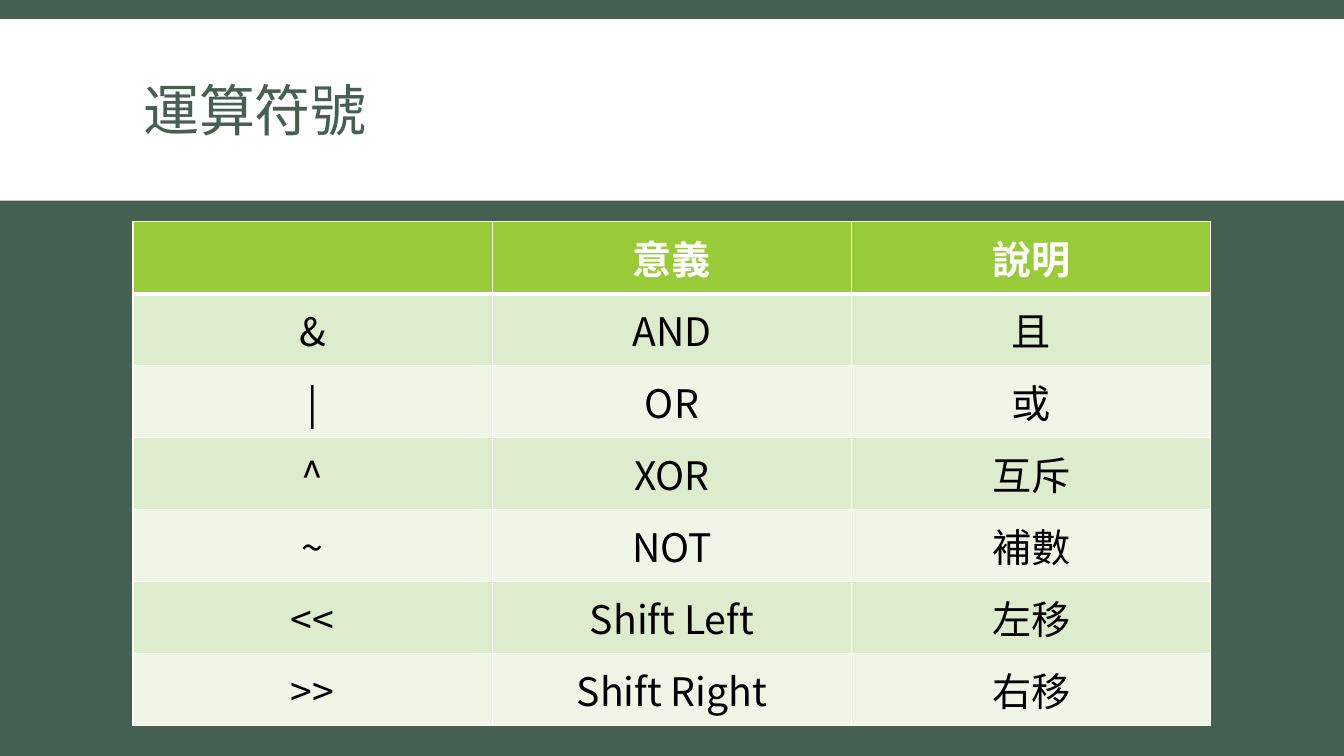
import pptx
import pptx.dml.color
import pptx.enum.shapes
import pptx.enum.text
import pptx.oxml
import pptx.oxml.ns
import pptx.util

Pt = pptx.util.Pt
RGB = pptx.dml.color.RGBColor
ANCHOR = pptx.enum.text.MSO_ANCHOR
ALIGN = pptx.enum.text.PP_ALIGN

GREEN = RGB(0x45, 0x5F, 0x51)
LIME = RGB(0x99, 0xCB, 0x38)
PALE = RGB(0xDE, 0xEC, 0xCE)
FAINT = RGB(0xEF, 0xF6, 0xE8)
WHITE = RGB(0xFF, 0xFF, 0xFF)
BLACK = RGB(0, 0, 0)

LATIN = "Calibri"
CJK = "Noto Sans CJK SC"

TITLE = "運算符號"
ROWS = [
    ("", "意義", "說明"),
    ("&", "AND", "且"),
    ("|", "OR", "或"),
    ("^", "XOR", "互斥"),
    ("~", "NOT", "補數"),
    ("<<", "Shift Left", "左移"),
    (">>", "Shift Right", "右移"),
]


def add_run(para, text, size, face, color, bold=False):
    run = para.add_run()
    run.text = text
    font = run.font
    font.size, font.name, font.bold = Pt(size), face, bold
    font.color.rgb = color
    east = pptx.oxml.parse_xml(
        f'<a:ea {pptx.oxml.ns.nsdecls("a")} typeface="{CJK}"/>')
    font._element.find(pptx.oxml.ns.qn("a:latin")).addnext(east)


def set_edges(cell, widths):
    """Draw white cell edges; widths maps L, R, T, B in that order to points."""
    props = cell._tc.get_or_add_tcPr()
    for side, width in widths.items():
        props.append(pptx.oxml.parse_xml(
            f'<a:ln{side} {pptx.oxml.ns.nsdecls("a")} w="{Pt(width)}">'
            f'<a:solidFill><a:srgbClr val="{WHITE}"/></a:solidFill>'
            f'</a:ln{side}>'))


def add_head(slide, left, top, width, height):
    """Place the white band in the box and the title inside it."""
    band = slide.shapes.add_shape(
        pptx.enum.shapes.MSO_SHAPE.RECTANGLE,
        Pt(left), Pt(top), Pt(width), Pt(height))
    band.shadow.inherit = False
    band.fill.solid()
    band.fill.fore_color.rgb = WHITE
    band.line.fill.background()
    slide.shapes._spTree.insert(2, band._element)

    title = slide.shapes.title
    title.left, title.top = Pt(left + 95), Pt(top + 8.6)
    title.width, title.height = Pt(width - 190), Pt(height - 10.8)
    frame = title.text_frame
    frame.word_wrap = True
    frame.auto_size = pptx.enum.text.MSO_AUTO_SIZE.NONE
    frame.vertical_anchor = ANCHOR.MIDDLE
    para = frame.paragraphs[0]
    para.alignment = ALIGN.LEFT
    para.line_spacing = 0.85
    add_run(para, TITLE, 40, LATIN, GREEN)


def add_grid(slide, left, top, width, height):
    count = len(ROWS)
    table = slide.shapes.add_table(
        count, len(ROWS[0]), Pt(left), Pt(top), Pt(width), Pt(height)).table
    table.horz_banding = False
    for col in table.columns:
        col.width = Pt(width / len(ROWS[0]))
    for r, texts in enumerate(ROWS):
        table.rows[r].height = Pt(height / count)
        head = r == 0
        fill = LIME if head else PALE if r % 2 else FAINT
        edges = {"L": 1, "R": 1, "T": 3 if r == 1 else 1, "B": 3 if head else 1}
        for c, text in enumerate(texts):
            cell = table.cell(r, c)
            set_edges(cell, edges)
            cell.fill.solid()
            cell.fill.fore_color.rgb = fill
            cell.vertical_anchor = ANCHOR.MIDDLE
            para = cell.text_frame.paragraphs[0]
            para.alignment = ALIGN.CENTER
            if text:
                add_run(para, text, 28, CJK, WHITE if head else BLACK, head)


def main():
    deck = pptx.Presentation()
    deck.slide_width, deck.slide_height = Pt(960), Pt(540)
    slide = deck.slides.add_slide(deck.slide_layouts.get_by_name("Title Only"))
    slide.background.fill.solid()
    slide.background.fill.fore_color.rgb = GREEN
    add_head(slide, 0, 13.7, 960, 129.6)
    add_grid(slide, 95, 158.4, 770, 360)
    deck.save("out.pptx")


if __name__ == "__main__":
    main()
